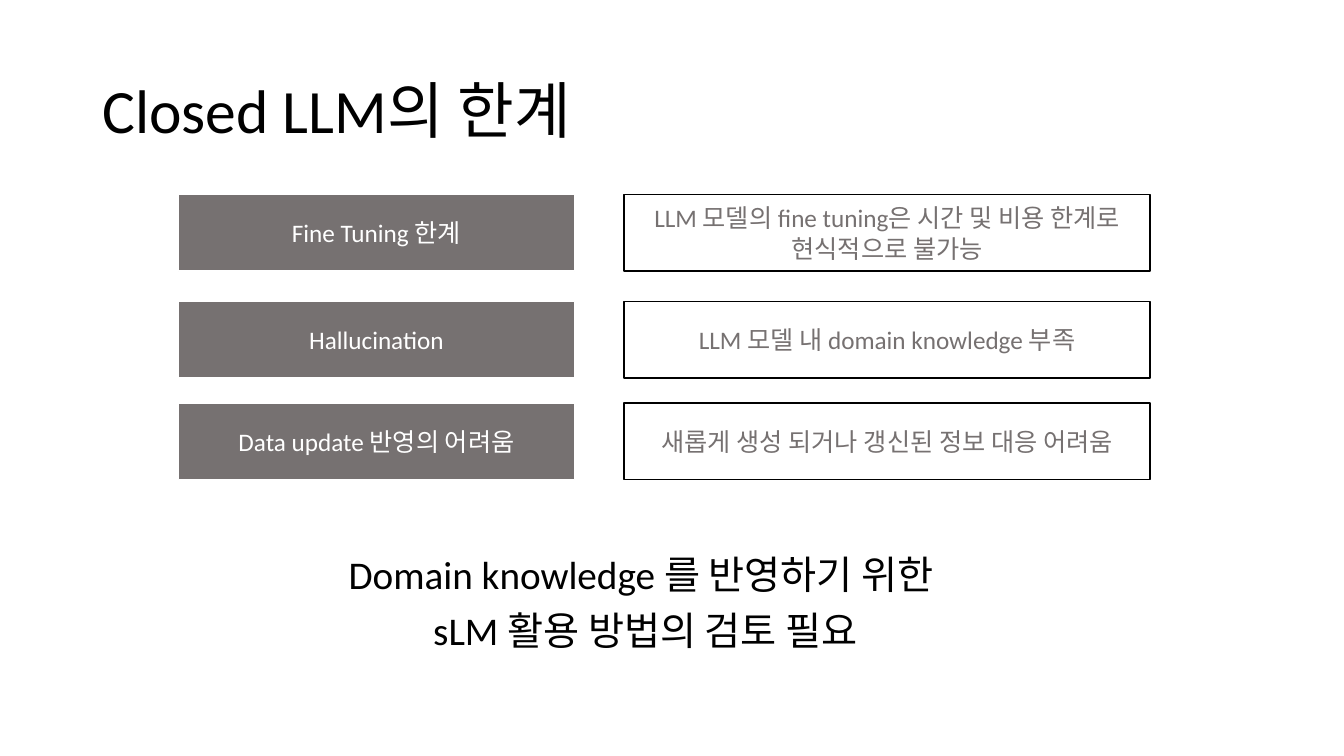
from pptx import Presentation
from pptx.dml.color import RGBColor
from pptx.enum import shapes, text
from pptx.util import Pt

BLACK = RGBColor(0x00, 0x00, 0x00)
WHITE = RGBColor(0xFF, 0xFF, 0xFF)
GRAY = RGBColor(0x76, 0x71, 0x71)

LIMITS = [
    (139, "Fine Tuning 한계", "LLM 모델의 fine tuning은 시간 및 비용 한계로 현식적으로 불가능"),
    (215.3, "Hallucination", "LLM 모델 내 domain knowledge 부족"),
    (288, "Data update 반영의 어려움", "새롭게 생성 되거나 갱신된 정보 대응 어려움"),
]


class SlideBuilder:
    font = "Calibri"
    line_width = 1

    def __init__(self, slide):
        self.slide = slide

    def fill_text(self, tf, lines, size, color, align, anchor, spacing=None, gap=0):
        tf.word_wrap = True
        tf.vertical_anchor = anchor
        for i, line in enumerate(lines):
            p = tf.add_paragraph() if i else tf.paragraphs[0]
            p.text = line
            p.alignment = align
            p.line_spacing = spacing
            p.space_before = Pt(gap if i else 0)
            for r in p.runs:
                r.font.name = self.font
                r.font.size = Pt(size)
                r.font.color.rgb = color

    def text_box(self, x, y, w, h, lines, size, align, anchor, gap=0):
        sp = self.slide.shapes.add_textbox(Pt(x), Pt(y), Pt(w), Pt(h))
        self.fill_text(sp.text_frame, lines, size, BLACK, align, anchor, 0.9, gap)

    def label_box(self, x, y, w, h, label, fill, line, color):
        sp = self.slide.shapes.add_shape(
            shapes.MSO_SHAPE.RECTANGLE, Pt(x), Pt(y), Pt(w), Pt(h))
        sp.shadow.inherit = False
        sp.fill.solid()
        sp.fill.fore_color.rgb = fill
        sp.line.color.rgb = line
        sp.line.width = Pt(self.line_width)
        self.fill_text(sp.text_frame, [label], 18, color,
                       text.PP_ALIGN.CENTER, text.MSO_ANCHOR.MIDDLE)


def main():
    prs = Presentation()
    prs.slide_width, prs.slide_height = Pt(960), Pt(540)
    s = SlideBuilder(prs.slides.add_slide(prs.slide_layouts[6]))

    s.text_box(66, 28.75, 828, 104.4, ["Closed LLM의 한계"], 44,
               text.PP_ALIGN.LEFT, text.MSO_ANCHOR.MIDDLE)
    s.text_box(203, 393, 516.2, 94.3,
               ["Domain knowledge 를 반영하기 위한 ", "sLM 활용 방법의 검토 필요"], 28,
               text.PP_ALIGN.CENTER, text.MSO_ANCHOR.TOP, gap=10)
    for y, limit, reason in LIMITS:
        s.label_box(127.4, y, 283, 54.7, limit, GRAY, WHITE, WHITE)
        s.label_box(445.7, y, 375.8, 54.7, reason, WHITE, BLACK, GRAY)

    prs.save("out.pptx")


if __name__ == "__main__":
    main()
